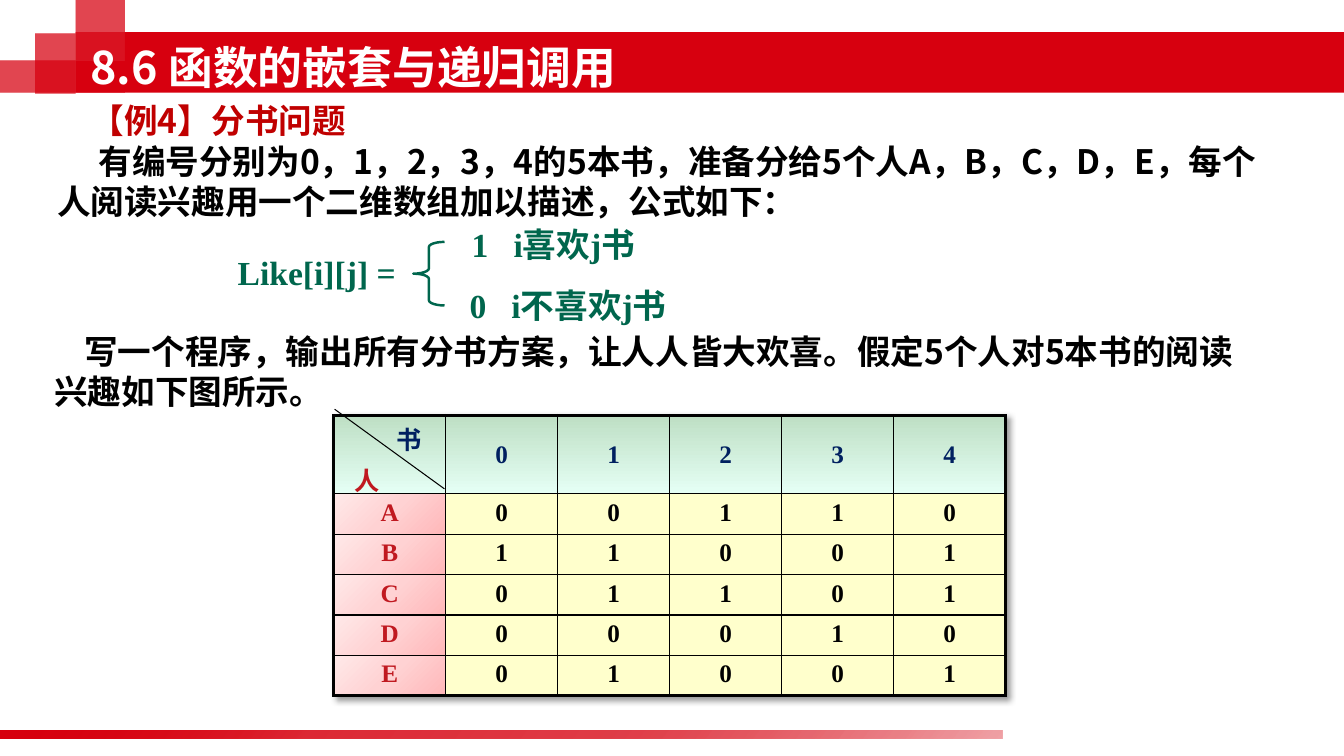
"""Build the slide on nested and recursive calls: the book sharing problem."""
from dataclasses import dataclass

from lxml import etree
from pptx import Presentation
from pptx.dml.color import RGBColor
from pptx.enum.lang import MSO_LANGUAGE_ID
from pptx.enum.shapes import MSO_CONNECTOR, MSO_SHAPE
from pptx.enum.text import MSO_ANCHOR, PP_ALIGN
from pptx.oxml import parse_xml
from pptx.oxml.ns import nsdecls, qn
from pptx.util import Pt

RECTANGLE, BRACE = MSO_SHAPE.RECTANGLE, MSO_SHAPE.LEFT_BRACE
STRAIGHT = MSO_CONNECTOR.STRAIGHT
TOP, MIDDLE = MSO_ANCHOR.TOP, MSO_ANCHOR.MIDDLE
LEFT, CENTER, RIGHT = PP_ALIGN.LEFT, PP_ALIGN.CENTER, PP_ALIGN.RIGHT
CHINESE = MSO_LANGUAGE_ID.SIMPLIFIED_CHINESE


@dataclass(frozen=True)
class Theme:
    sans: str = "Noto Sans CJK SC"
    serif: str = "Times New Roman"
    title_size: int = 32
    body_size: int = 24
    table_size: int = 18
    red: str = "D7000F"
    heading: str = "C00000"
    green: str = "00664D"
    navy: str = "002060"
    person: str = "C01920"
    black: str = "000000"
    white: str = "FFFFFF"
    value_fill: str = "FFFFCC"
    header_fill: tuple = ((0, "BEDFC4", 100), (100, "E5FFF5", 100))
    person_fill: tuple = ((0, "FFB7B9", 100), (50, "FFD2D3", 100), (100, "FFE9E9", 100))
    strip_fill: tuple = ((0, "D7000F", 100), (31, "D7000F", 60),
                         (64, "D7000F", 50), (100, "D7000F", 20))


theme = Theme()


def paint_gradient(fill, properties, stops, angle):
    """Give a shape or cell a linear gradient with (position, colour, opacity) stops."""
    fill.background()
    marks = "".join(
        f'<a:gs pos="{position * 1000}"><a:srgbClr val="{colour}">'
        f'<a:alpha val="{opacity * 1000}"/></a:srgbClr></a:gs>'
        for position, colour, opacity in stops)
    gradient = parse_xml(f'<a:gradFill {nsdecls("a")} rotWithShape="1"><a:gsLst>{marks}</a:gsLst>'
                         f'<a:lin ang="{angle * 60000}" scaled="0"/></a:gradFill>')
    properties.replace(properties.find(qn("a:noFill")), gradient)


def write(para, text, size, face, colour, align=LEFT):
    """Add one bold run to a paragraph."""
    para.alignment = align
    span = para.add_run()
    span.text = text
    span.font.size, span.font.bold, span.font.name = Pt(size), True, face
    span.font.color.rgb = RGBColor.from_string(colour)
    span.font.language_id = CHINESE
    east_asian = etree.SubElement(span.font._element, qn("a:ea"))
    east_asian.set("typeface", theme.sans)


deck = Presentation()
deck.slide_width, deck.slide_height = Pt(960), Pt(540)
page = deck.slides.add_slide(deck.slide_layouts[6])

squares = [(0, 43.2, 89.3, 23), (25.2, 23.8, 28.8, 43.2),
           (54, -1.4, 35.3, 44.6), (54, 23, 35.3, 20.2)]
title_band, corner_block = (89.3, 23, 870.7, 43.2), (54, 43.2, 35.3, 23)
bottom_strip = (-1.4, 522, 717.8, 5.8)
for solid_block in (title_band, corner_block):
    layer = [(area, 48) for area in squares] + [(solid_block, 100), (bottom_strip, None)]
    for area, opacity in layer:
        block = page.shapes.add_shape(RECTANGLE, *map(Pt, area))
        block.shadow.inherit = False
        block.line.fill.background()
        if opacity is None:
            paint_gradient(block.fill, block._element.spPr, theme.strip_fill, 40)
            continue
        block.fill.solid()
        block.fill.fore_color.rgb = RGBColor.from_string(theme.red)
        if opacity < 100:
            colour_node = block._element.spPr.find(".//" + qn("a:srgbClr"))
            etree.SubElement(colour_node, qn("a:alpha")).set("val", str(opacity * 1000))

intro = "有编号分别为0，1，2，3，4的5本书，准备分给5个人A，B，C，D，E，每个人阅读兴趣用一个二维数组加以描述，公式如下："
task = "写一个程序，输出所有分书方案，让人人皆大欢喜。假定5个人对5本书的阅读兴趣如下图所示。"
texts = [
    ((33.8, 67.7, 887.8, 94.3), MIDDLE, True, theme.body_size, theme.sans,
     [("【例4】分书问题", theme.heading, 24), (intro, theme.black, 29.5)]),
    ((162.7, 176.4, 133.9, 36.7), TOP, False, theme.body_size, theme.serif,
     [("Like[i][j] =", theme.green, 0)]),
    ((329.8, 156.2, 211, 36.7), TOP, True, theme.body_size, theme.serif,
     [("1\ti喜欢j书", theme.green, -30)]),
    ((328.3, 200.2, 211, 36), TOP, True, theme.body_size, theme.serif,
     [("0\ti不喜欢j书", theme.green, -30)]),
    ((31.7, 232.6, 879.8, 65.5), TOP, True, theme.body_size, theme.sans,
     [(task, theme.black, 21.5)]),
    ((57.6, 23.8, 640.8, 48.2), MIDDLE, True, theme.title_size, theme.sans,
     [("8.6 函数的嵌套与递归调用", theme.white, 0)]),
]
for area, anchor, wraps, size, face, paragraphs in texts:
    box = page.shapes.add_textbox(*map(Pt, area))
    frame = box.text_frame
    frame.word_wrap, frame.vertical_anchor = wraps, anchor
    for number, (text, colour, indent) in enumerate(paragraphs):
        para = frame.add_paragraph() if number else frame.paragraphs[0]
        properties = para._p.get_or_add_pPr()
        properties.set("marL", str(Pt(max(0, -indent))))
        properties.set("indent", str(Pt(indent)))
        write(para, text, size, face, colour)

brace = page.shapes.add_shape(BRACE, Pt(295.2), Pt(172.8), Pt(22.3), Pt(45.4))
brace.adjustments[0] = 0.167
brace.shadow.inherit = False
brace.fill.background()
brace.line.color.rgb = RGBColor.from_string(theme.green)
brace.line.width = Pt(1.75)

likes = {"A": "00110", "B": "11001", "C": "01101", "D": "00010", "E": "01001"}
rows = [["", *"01234"]] + [[person, *values] for person, values in likes.items()]
row_count, column_count = len(rows), len(rows[0])
table = page.shapes.add_table(row_count, column_count, Pt(238.4), Pt(296.6), Pt(480), Pt(200.2)).table
table.first_row = table.horz_banding = False
table._tbl.tblPr.insert(0, parse_xml(
    f'<a:effectLst {nsdecls("a")}><a:outerShdw blurRad="50800" dist="38100" dir="2700000" '
    'algn="tl" rotWithShape="0"><a:srgbClr val="000000"><a:alpha val="40000"/>'
    '</a:srgbClr></a:outerShdw></a:effectLst>'))
for column in table.columns:
    column.width = Pt(80)
for r, values in enumerate(rows):
    table.rows[r].height = Pt(28.8 if r else 56.2)
    for c, value in enumerate(values):
        cell = table.cell(r, c)
        properties = cell._tc.get_or_add_tcPr()
        edges = {"L": c == 0, "R": c == column_count - 1, "T": r == 0, "B": r == row_count - 1}
        for side, is_outer in edges.items():
            properties.append(parse_xml(
                f'<a:ln{side} {nsdecls("a")} w="{Pt(2.25 if is_outer else 1)}"><a:solidFill>'
                f'<a:srgbClr val="{theme.black}"/></a:solidFill></a:ln{side}>'))
        if r == 0:
            colour = theme.navy
            cell.vertical_anchor = MIDDLE if c else TOP
            paint_gradient(cell.fill, properties, theme.header_fill, 90)
        elif c == 0:
            colour = theme.person
            paint_gradient(cell.fill, properties, theme.person_fill, 225)
        else:
            colour = theme.black
            cell.fill.solid()
            cell.fill.fore_color.rgb = RGBColor.from_string(theme.value_fill)
        if value:
            write(cell.text_frame.paragraphs[0], value, theme.table_size, theme.serif, colour, CENTER)

corner = table.cell(0, 0)
corner.margin_left, corner.margin_right, corner.margin_bottom = Pt(15), Pt(17), Pt(0)
write(corner.text_frame.paragraphs[0], "书", theme.table_size, theme.serif, theme.navy, RIGHT)
person_label = corner.text_frame.add_paragraph()
person_label.space_before = Pt(3)
write(person_label, "人", theme.table_size, theme.serif, theme.person)

diagonal = page.shapes.add_connector(STRAIGHT, Pt(239), Pt(292.3), Pt(317.5), Pt(349.2))
diagonal.line.color.rgb = RGBColor.from_string(theme.black)
diagonal.line.width = Pt(0.75)
etree.SubElement(diagonal._element.spPr, qn("a:effectLst"))

deck.save("out.pptx")
